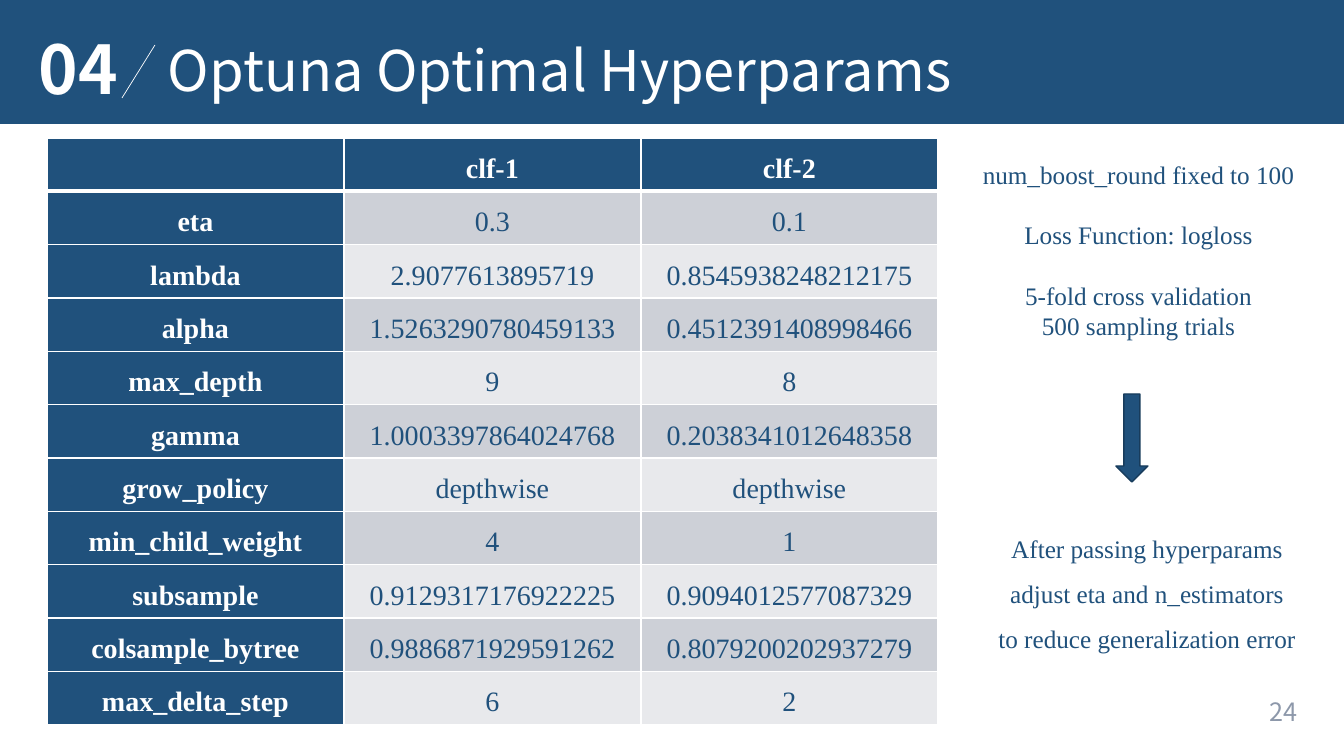
from lxml import etree
from pptx import Presentation
from pptx.dml.color import RGBColor
from pptx.enum.shapes import MSO_CONNECTOR, MSO_SHAPE as SHAPE
from pptx.enum.text import MSO_ANCHOR as ANCHOR, PP_ALIGN as ALIGN
from pptx.oxml.ns import qn
from pptx.util import Pt

PX = 9144000 / 1008  # EMU in one px
COLORS = {"navy": "20517C", "edge": "183C5C", "white": "FFFFFF",
          "grey": "8D98AA", "band": "CDD0D7", "pale": "E8E9EC"}
SANS, SERIF = "Noto Sans CJK SC", "Times New Roman"


def emu(*lengths):
    return [round(n * PX) for n in lengths]


def rgb(name):
    return RGBColor.from_string(COLORS[name])


class Deck:
    def __init__(self, width, height):
        self.prs = Presentation()
        self.prs.slide_width, self.prs.slide_height = emu(width, height)
        self.s = self.prs.slides.add_slide(self.prs.slide_layouts[6])

    def style(self, p, size, color, font, bold=False, align=ALIGN.LEFT, spacing=1.0):
        p.alignment, p.line_spacing = align, spacing
        for r in p.runs:
            r.font.size, r.font.name, r.font.bold = Pt(size), font, bold
            r.font.color.rgb = rgb(color)

    def shape(self, kind, box, fill, line=None):
        sp = self.s.shapes.add_shape(kind, *emu(*box))
        sp.shadow.inherit = False
        sp.fill.solid()
        sp.fill.fore_color.rgb = rgb(fill)
        if line:
            sp.line.color.rgb, sp.line.width = rgb(line), Pt(1)
        else:
            sp.line.fill.background()

    def line(self, ends, color, width):
        cx = self.s.shapes.add_connector(MSO_CONNECTOR.STRAIGHT, *emu(*ends))
        cx.line.color.rgb, cx.line.width = rgb(color), Pt(width)
        etree.SubElement(cx._element.spPr, qn("a:effectLst"))

    def text(self, box, lines, size, color, font, gaps=(), anchor=ANCHOR.TOP,
             wrap=True, **look):
        tf = self.s.shapes.add_textbox(*emu(*box)).text_frame
        tf.word_wrap, tf.vertical_anchor = wrap, anchor
        tf.text = "\n".join(lines)
        for i, p in enumerate(tf.paragraphs):
            self.style(p, size, color, font, **look)
            if i in gaps:
                p.space_before = Pt(size * 1.2)

    def border(self, cell, side, width):
        ln = etree.SubElement(cell._tc.get_or_add_tcPr(), qn(f"a:ln{side}"),
                              w=str(Pt(width)))
        fill = etree.SubElement(ln, qn("a:solidFill"))
        etree.SubElement(fill, qn("a:srgbClr"), val=COLORS["white"])

    def table(self, box, rows):
        frame = self.s.shapes.add_table(len(rows), len(rows[0]), *emu(*box))
        for i, row in enumerate(rows):
            for j, value in enumerate(row):
                cell, head = frame.table.cell(i, j), i == 0 or j == 0
                cell.margin_left, cell.margin_right = emu(7, 7)
                cell.margin_top = cell.margin_bottom = 0
                for side in "LRTB":
                    thick = (i, side) in ((0, "B"), (1, "T"))
                    self.border(cell, side, 3 if thick else 1)
                cell.fill.solid()
                cell.fill.fore_color.rgb = rgb(
                    "navy" if head else "band" if i % 2 else "pale")
                cell.text_frame.text = value
                self.style(cell.text_frame.paragraphs[0], 20,
                           "white" if head else "navy", SERIF, bold=head,
                           align=ALIGN.CENTER, spacing=1.5)


PARAMS = [
    ("", "clf-1", "clf-2"),
    ("eta", "0.3", "0.1"),
    ("lambda", "2.9077613895719", "0.8545938248212175"),
    ("alpha", "1.5263290780459133", "0.4512391408998466"),
    ("max_depth", "9", "8"),
    ("gamma", "1.0003397864024768", "0.2038341012648358"),
    ("grow_policy", "depthwise", "depthwise"),
    ("min_child_weight", "4", "1"),
    ("subsample", "0.9129317176922225", "0.9094012577087329"),
    ("colsample_bytree", "0.9886871929591262", "0.8079200202937279"),
    ("max_delta_step", "6", "2"),
]
SETUP = ["num_boost_round fixed to 100", "Loss Function: logloss",
         "5-fold cross validation", "500 sampling trials"]
NEXT_STEP = ["After passing hyperparams", "adjust eta and n_estimators",
             "to reduce generalization error"]


def main():
    deck = Deck(1344, 756)

    # Title band
    deck.shape(SHAPE.RECTANGLE, (-3, 0, 1347, 124), "navy")
    deck.line((155, 45, 122, 98), "white", 0.5)
    deck.text((29, 31, 108, 108), ["04"], 48, "white", SANS, bold=True, spacing=0.9)
    deck.text((158, 38, 863, 54), ["Optuna Optimal Hyperparams"], 40, "white", SANS,
              spacing=0.9)

    # Page number
    deck.text((1005, 687, 302, 48), ["24"], 18, "grey", SANS, anchor=ANCHOR.MIDDLE,
              align=ALIGN.RIGHT)

    # Hyperparameter table
    deck.table((47, 138, 891, 587), PARAMS)

    # Side notes
    deck.text((971, 154, 335, 194), SETUP, 18, "navy", SERIF, gaps=(1, 2), wrap=False,
              align=ALIGN.CENTER)
    deck.text((987, 513, 320, 142), NEXT_STEP, 18, "navy", SERIF, wrap=False,
              align=ALIGN.CENTER, spacing=1.5)
    deck.shape(SHAPE.DOWN_ARROW, (1116, 394, 32, 88), "navy", "edge")

    deck.prs.save("out.pptx")


if __name__ == "__main__":
    main()
